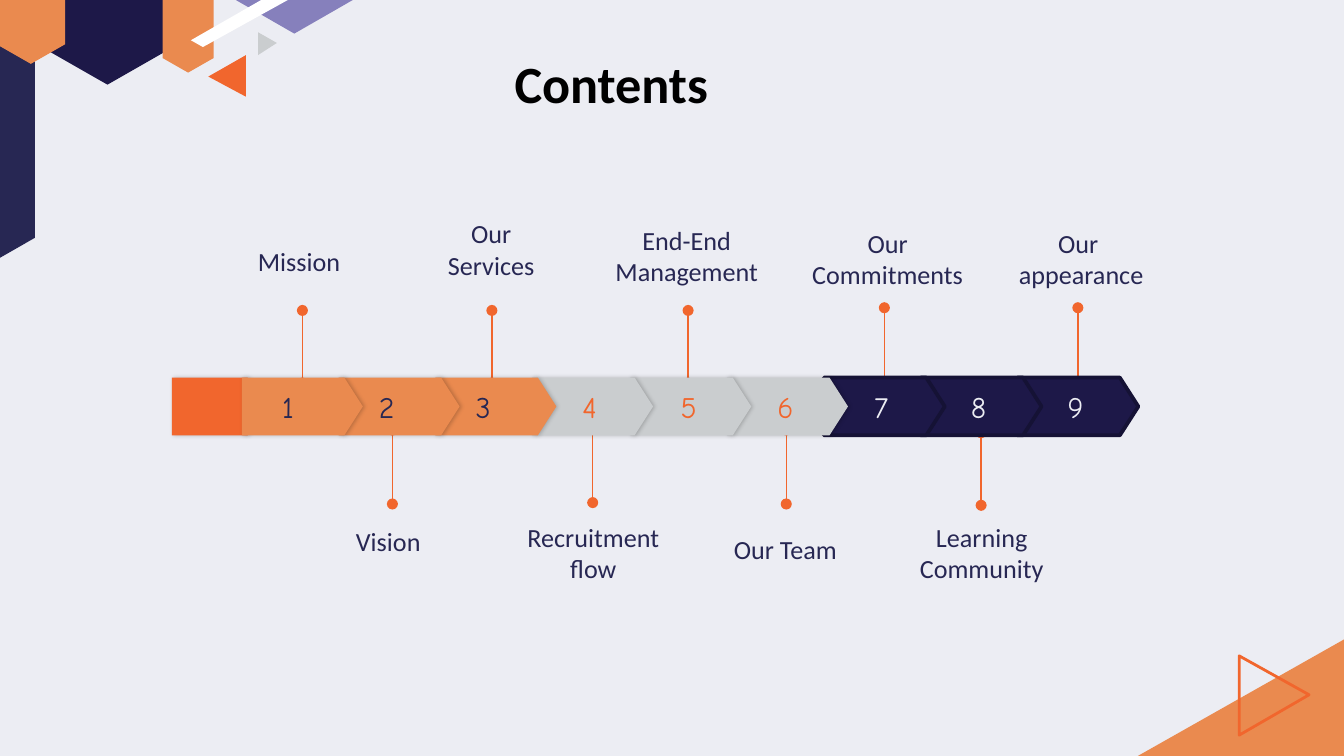
import pptx
import pptx.dml.color
import pptx.enum.shapes
import pptx.enum.text
import pptx.oxml
import pptx.oxml.ns
import pptx.util

PX = 9144  # EMU per px, 100 px to the inch

PALE = "ECEDF3"
ORANGE = "F1662D"
APRICOT = "EA8A4F"
GREY = "CACDCF"
NAVY = "272753"
INDIGO = "1D1848"
INDIGO_EDGE = "151235"
LILAC = "8680BC"

SHAPES = pptx.enum.shapes.MSO_SHAPE
ALIGN = pptx.enum.text.PP_ALIGN

PLATE_TOP, PLATE_HEIGHT, PLATE_WIDTH = 281, 43, 90
PLATE_LEFT, PLATE_PITCH = 180, 72.15
NUMBER_INSET = 30

# fill, edge, number colour, number prefix for each group of three steps
STEP_GROUPS = [
    (APRICOT, None, NAVY, ""),
    (GREY, None, ORANGE, " "),
    (INDIGO, INDIGO_EDGE, PALE, " "),
]

# x, end at the band, free end
PINS = [
    (225, 285, 231), (366, 285, 231), (512, 285, 231), (658, 284, 229), (802, 284, 229),
    (292, 320, 375), (441, 319, 374), (585, 320, 375), (730, 322, 376),
]

# lines, box, alignment
LABELS = [
    (["Mission"], (182, 178, 87, 34), ALIGN.LEFT),
    (["Our Services"], (322, 157, 87, 57), ALIGN.CENTER),
    (["Recruitment flow"], (380, 383, 123, 57), ALIGN.CENTER),
    (["End-End", "Management"], (444, 162, 134, 57), ALIGN.CENTER),
    (["Vision"], (255, 386, 73, 34), ALIGN.LEFT),
    (["Our ", "appearance"], (743, 164, 123, 57), ALIGN.CENTER),
    (["Our Team"], (523, 392, 123, 34), ALIGN.CENTER),
    (["Our Commitments"], (591, 164, 139, 57), ALIGN.CENTER),
    (["Learning", "Community"], (669, 383, 123, 57), ALIGN.CENTER),
]


def px(*values):
    return [pptx.util.Emu(round(value * PX)) for value in values]


def color(value):
    return pptx.dml.color.RGBColor.from_string(value)


def paint(shape, fill=None, edge=None, width=1):
    shape.shadow.inherit = False
    if fill:
        shape.fill.solid()
        shape.fill.fore_color.rgb = color(fill)
    else:
        shape.fill.background()
    if edge:
        shape.line.color.rgb = color(edge)
        shape.line.width = pptx.util.Pt(width)
    else:
        shape.line.fill.background()


def add_soft_shadow(shape):
    effects = shape._element.spPr.find(pptx.oxml.ns.qn("a:effectLst"))
    effects.append(pptx.oxml.parse_xml(
        f'<a:outerShdw {pptx.oxml.ns.nsdecls("a")} blurRad="27940" dist="10160" dir="0">'
        '<a:srgbClr val="000000"><a:alpha val="20000"/></a:srgbClr></a:outerShdw>'))


def add_run(paragraph, text, font, size, value, bold=False):
    run = paragraph.add_run()
    run.text = text
    run.font.name = font
    run.font.size = pptx.util.Pt(size)
    run.font.bold = bold
    run.font.color.rgb = color(value)


def add_hexagon(slide, box, fill):
    hexagon = slide.shapes.add_shape(SHAPES.HEXAGON, *px(*box))
    hexagon.adjustments[0] = 0.286
    hexagon.rotation = 270
    paint(hexagon, fill)


def add_polygon(slide, points, fill=None, edge=None, width=1):
    builder = slide.shapes.build_freeform(*points[0], scale=PX)
    builder.add_line_segments(points[1:], close=True)
    paint(builder.convert_to_shape(), fill, edge, width)


def add_plate(slide, left, width, fill, edge=None):
    """Add one pointed segment of the band."""
    plate = slide.shapes.add_shape(
        SHAPES.PENTAGON, *px(left, PLATE_TOP, width, PLATE_HEIGHT))
    plate.adjustments[0] = 0.32
    paint(plate, fill, edge, 2)
    if not edge:
        add_soft_shadow(plate)
    return plate


def add_step(slide, index):
    fill, edge, text_color, prefix = STEP_GROUPS[index // 3]
    left = round(PLATE_LEFT + index * PLATE_PITCH)
    frame = add_plate(slide, left, PLATE_WIDTH, fill, edge).text_frame
    frame.margin_left, = px(NUMBER_INSET)
    frame.margin_top = frame.margin_right = frame.margin_bottom = 0
    frame.vertical_anchor = pptx.enum.text.MSO_ANCHOR.MIDDLE
    paragraph = frame.paragraphs[0]
    paragraph.alignment = ALIGN.LEFT
    add_run(paragraph, f"{prefix}{index + 1}", "Comic Neue", 16, text_color)


def add_pin(slide, x, start, end):
    """Add a vertical line with a dot at each end."""
    pin = slide.shapes.add_connector(
        pptx.enum.shapes.MSO_CONNECTOR.STRAIGHT, *px(x, start, x, end))
    pin.line.color.rgb = color(ORANGE)
    pin.line.width = pptx.util.Pt(0.75)
    line = pin.line._get_or_add_ln()
    namespace = pptx.oxml.ns.nsdecls("a")
    for tag in ("headEnd", "tailEnd"):
        line.append(pptx.oxml.parse_xml(f'<a:{tag} {namespace} type="oval"/>'))
    pin._element.spPr.append(pptx.oxml.parse_xml(f"<a:effectLst {namespace}/>"))


def add_text(slide, lines, box, alignment, size, value, bold=False):
    frame = slide.shapes.add_textbox(*px(*box)).text_frame
    frame.word_wrap = True
    frame.auto_size = pptx.enum.text.MSO_AUTO_SIZE.SHAPE_TO_FIT_TEXT
    for number, line in enumerate(lines):
        paragraph = frame.add_paragraph() if number else frame.paragraphs[0]
        paragraph.alignment = alignment
        add_run(paragraph, line, "Calibri", size, value, bold)


def add_decoration(slide):
    add_hexagon(slide, (27, -37, 106, 94), INDIGO)
    add_polygon(slide, [(219, -29), (172, -2), (219, 25), (266, -2)], LILAC)
    add_polygon(slide, [(183, 41), (155, 57), (183, 72)], ORANGE)
    add_polygon(slide, [(192, 24), (192, 41), (206, 32)], GREY)
    add_polygon(slide, [(26, -33), (-2, -17), (-2, 193), (26, 177)], NAVY)
    add_hexagon(slide, (102, -3, 76, 38), APRICOT)
    add_polygon(slide, [(224, -17), (142, 30), (151, 35), (234, -11)], "FFFFFF")
    add_hexagon(slide, (-28, -29, 102, 51), APRICOT)
    add_polygon(slide, [(1012, 469), (1180, 564), (1012, 660), (844, 564)], APRICOT)
    add_polygon(slide, [(922, 488), (974, 517), (922, 547)], edge=ORANGE, width=1.5)


def main():
    presentation = pptx.Presentation()
    presentation.slide_width, = px(1000)
    presentation.slide_height = presentation.slide_width * 9 // 16
    slide = presentation.slides.add_slide(presentation.slide_layouts[6])
    slide.background.fill.solid()
    slide.background.fill.fore_color.rgb = color(PALE)

    add_decoration(slide)
    add_plate(slide, 128, 70, ORANGE)
    for pin in PINS:
        add_pin(slide, *pin)
    add_text(slide, ["Contents"], (373, 33, 248, 57), ALIGN.LEFT, 28, "000000", bold=True)
    for index in reversed(range(9)):
        add_step(slide, index)
    for lines, box, alignment in LABELS:
        add_text(slide, lines, box, alignment, 14, NAVY)

    presentation.save("out.pptx")


if __name__ == "__main__":
    main()
